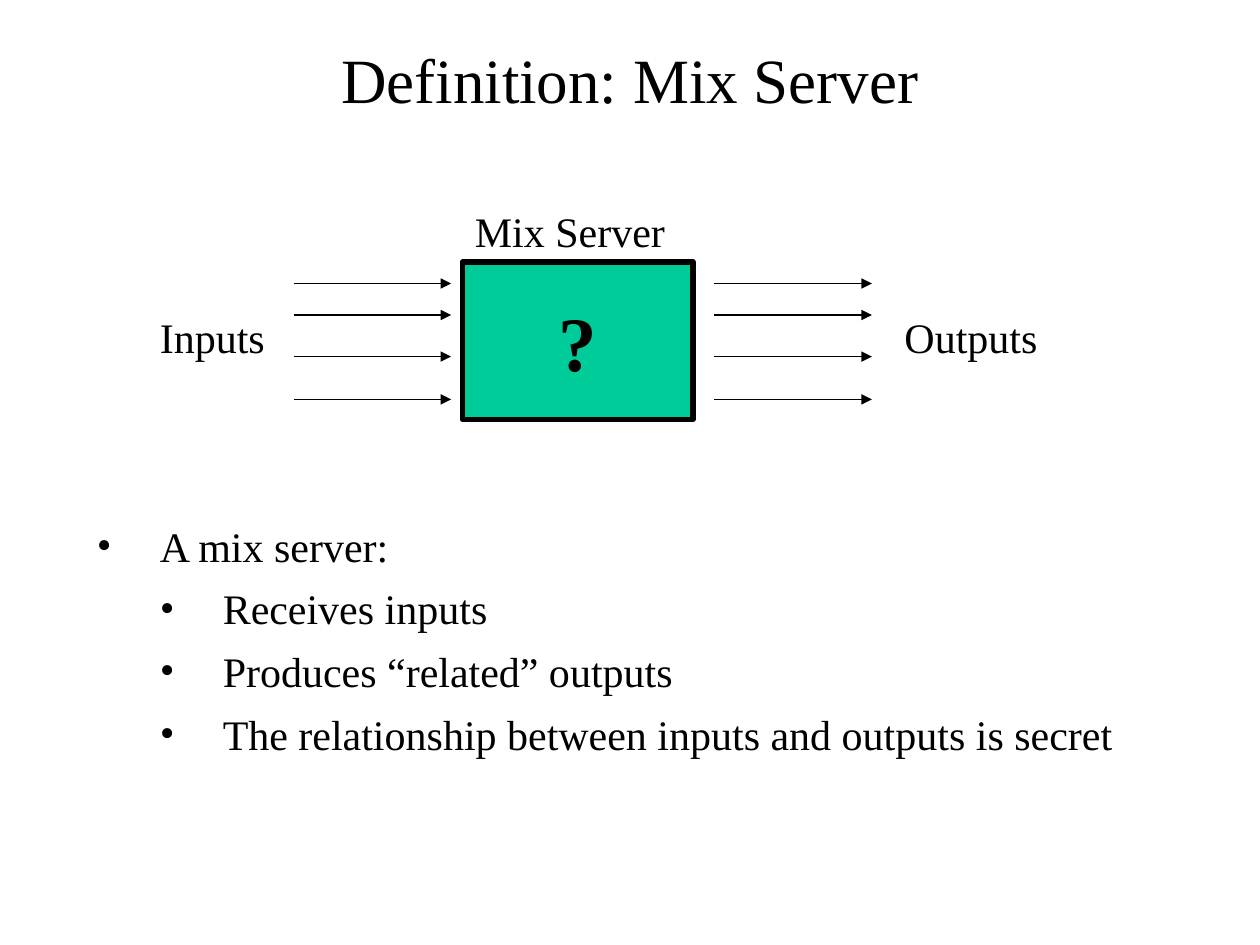
from lxml.etree import SubElement
from pptx import Presentation
from pptx.dml.color import RGBColor
from pptx.enum.shapes import MSO_CONNECTOR, MSO_SHAPE
from pptx.enum.text import MSO_ANCHOR, MSO_AUTO_SIZE, PP_ALIGN
from pptx.oxml.ns import qn
from pptx.util import Inches, Pt

COLORS = {"ink": "000000", "server": "00CC99"}
FONT = "Times New Roman"
ARROW_OFFSETS = (0, 0.25, 0.58, 0.92)
BULLETS = (
    (0, "A mix server:"),
    (1, "Receives inputs"),
    (1, "Produces “related” outputs"),
    (1, "The relationship between inputs and outputs is secret"),
)


def color(name):
    return RGBColor.from_string(COLORS[name])


def add_span(para, text, size=24, bold=False):
    span = para.add_run()
    span.text = text
    span.font.name = FONT
    span.font.size = Pt(size)
    span.font.bold = bold
    span.font.color.rgb = color("ink")


def add_box(page, left, top, width, height, wrap=True):
    box = page.shapes.add_textbox(
        Inches(left), Inches(top), Inches(width), Inches(height))
    box.text_frame.word_wrap = wrap
    box.text_frame.auto_size = MSO_AUTO_SIZE.SHAPE_TO_FIT_TEXT
    return box


def add_label(page, text, left, top, width, height, wrap=True, space=0):
    box = add_box(page, left, top, width, height, wrap)
    para = box.text_frame.paragraphs[0]
    para.space_before = Pt(space)
    add_span(para, text)


def add_title(page, left, top, width, height):
    title = page.shapes.title
    title.left, title.top = Inches(left), Inches(top)
    title.width, title.height = Inches(width), Inches(height)
    title.text_frame.vertical_anchor = MSO_ANCHOR.MIDDLE
    para = title.text_frame.paragraphs[0]
    para.alignment = PP_ALIGN.CENTER
    add_span(para, "Definition: Mix Server", 36)


def add_arrows(page, left, top, width):
    for offset in ARROW_OFFSETS:
        y = Inches(top + offset)
        arrow = page.shapes.add_connector(
            MSO_CONNECTOR.STRAIGHT, Inches(left), y, Inches(left + width), y)
        arrow.line.color.rgb = color("ink")
        arrow.line.width = Pt(0.75)
        SubElement(arrow.line._get_or_add_ln(), qn("a:tailEnd"), type="triangle")
        SubElement(arrow._element.spPr, qn("a:effectLst"))


def add_server(page, left, top, width, height):
    server = page.shapes.add_shape(
        MSO_SHAPE.RECTANGLE, Inches(left), Inches(top), Inches(width), Inches(height))
    server.shadow.inherit = False
    server.fill.solid()
    server.fill.fore_color.rgb = color("server")
    server.line.color.rgb = color("ink")
    server.line.width = Pt(3)
    server.text_frame.word_wrap = False
    server.text_frame.vertical_anchor = MSO_ANCHOR.MIDDLE
    para = server.text_frame.paragraphs[0]
    para.alignment = PP_ALIGN.CENTER
    add_span(para, "?", 44, True)
    add_label(page, "Mix Server", left, top - 0.5, 1.71, 0.5, wrap=False)


def add_diagram(page, left, top):
    add_arrows(page, left + 1.16, top + 0.67, 1.25)
    add_label(page, "Inputs", left, top + 0.84, 1.08, 0.5, space=15)
    add_arrows(page, left + 4.5, top + 0.67, 1.25)
    add_label(page, "Outputs", left + 5.91, top + 0.84, 1.33, 0.5, space=15)
    add_server(page, left + 2.5, top + 0.5, 1.83, 1.25)


def add_bullets(page, left, top, width, height):
    frame = add_box(page, left, top, width, height).text_frame
    for index, (level, text) in enumerate(BULLETS):
        para = frame.add_paragraph() if index else frame.paragraphs[0]
        para.level = level
        para.space_before = Pt(7)
        props = para._p.get_or_add_pPr()
        props.set("marL", str(Inches(0.5 * (level + 1))))
        props.set("indent", str(Inches(-0.5)))
        bullet_color = SubElement(props, qn("a:buClr"))
        SubElement(bullet_color, qn("a:srgbClr"), val=COLORS["ink"])
        SubElement(props, qn("a:buFont"), typeface=FONT)
        SubElement(props, qn("a:buChar"), char="•")
        add_span(para, text)


def main():
    deck = Presentation()
    deck.slide_width, deck.slide_height = Inches(10), Inches(7.5)
    page = deck.slides.add_slide(deck.slide_layouts[5])
    add_title(page, 0.75, 0.33, 8.5, 0.58)
    add_bullets(page, 0.67, 4.08, 8.67, 2.44)
    add_diagram(page, 1.17, 1.58)
    deck.save("out.pptx")


if __name__ == "__main__":
    main()
